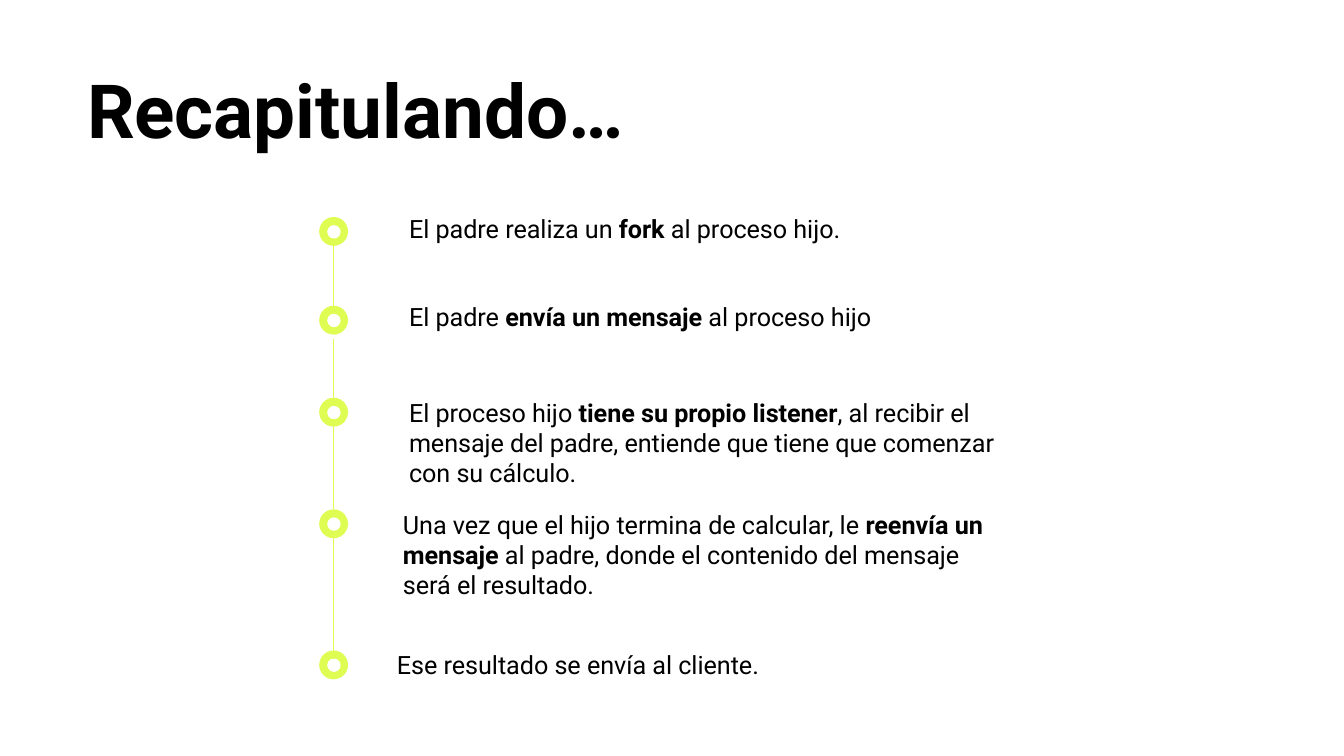
from dataclasses import dataclass

from lxml import etree
from pptx import Presentation
from pptx.dml.color import RGBColor
from pptx.enum.shapes import MSO_CONNECTOR, MSO_SHAPE
from pptx.enum.text import MSO_ANCHOR, MSO_AUTO_SIZE
from pptx.oxml.ns import qn
from pptx.util import Pt

OVAL = MSO_SHAPE.OVAL
STRAIGHT = MSO_CONNECTOR.STRAIGHT
TOP = MSO_ANCHOR.TOP
FIXED = MSO_AUTO_SIZE.NONE
SCALE = 4572
BLANK = 6


@dataclass(frozen=True)
class Theme:
    font: str = "Roboto"
    ink: str = "000000"
    paper: str = "FFFFFF"
    lime: str = "DEFC52"
    title: float = 40
    body: float = 13.5
    rule: float = 0.75


def px(count):
    return count * SCALE


class Deck:
    def __init__(self, theme, slide):
        self.theme = theme
        self.slide = slide

    def dot(self, group, x, y, size, color):
        oval = group.shapes.add_shape(OVAL, px(x), px(y), px(size), px(size))
        oval.shadow.inherit = False
        oval.fill.solid()
        oval.fill.fore_color.rgb = RGBColor.from_string(color)
        oval.line.fill.background()

    def ring(self, x, y):
        group = self.slide.shapes.add_group_shape()
        self.dot(group, x, y, 43, self.theme.lime)
        self.dot(group, x + 12, y + 12, 20, self.theme.paper)

    def line(self, x, start, end):
        link = self.slide.shapes.add_connector(
            STRAIGHT, px(x), px(start), px(x), px(end))
        link.line.color.rgb = RGBColor.from_string(self.theme.lime)
        link.line.width = Pt(self.theme.rule)
        etree.SubElement(link._element.spPr, qn("a:effectLst"))

    def text(self, box, parts, size, spacing=None):
        frame = self.slide.shapes.add_textbox(*map(px, box)).text_frame
        frame.word_wrap = True
        frame.auto_size = FIXED
        frame.vertical_anchor = TOP
        frame.margin_left = frame.margin_right = px(20)
        frame.margin_top = frame.margin_bottom = px(20)
        para = frame.paragraphs[0]
        if spacing:
            para.line_spacing = spacing
        for words, bold in parts:
            run = para.add_run()
            run.text = words
            run.font.name = self.theme.font
            run.font.size = Pt(size)
            run.font.bold = bold
            run.font.color.rgb = RGBColor.from_string(self.theme.ink)


STEPS = [
    (323, 589, 298, 86, [
        ("El padre realiza un ", False), ("fork ", True),
        ("al proceso hijo.", False)]),
    (455, 589, 429, 86, [
        ("El padre ", False), ("envía un mensaje", True),
        (" al proceso hijo", False)]),
    (592, 589, 571, 176, [
        ("El proceso hijo ", False), ("tiene su propio listener", True),
        (", al recibir el mensaje del padre, entiende que tiene que "
         "comenzar con su cálculo.", False)]),
    (758, 580, 738, 176, [
        ("Una vez que el hijo termina de calcular, le ", False),
        ("reenvía un mensaje", True),
        (" al padre, donde el contenido del mensaje será el resultado.",
         False)]),
    (968, 571, 947, 86, [("Ese resultado se envía al cliente.", False)]),
]
LINKS = [(366, 456), (504, 592), (624, 758), (790, 980)]


def main():
    prs = Presentation()
    prs.slide_width, prs.slide_height = px(2000), px(1125)
    theme = Theme()
    deck = Deck(theme, prs.slides.add_slide(prs.slide_layouts[BLANK]))
    deck.text((110, 90, 1780, 162), [("Recapitulando…", True)],
              theme.title, 0.9)
    for y, left, top, height, parts in STEPS:
        deck.ring(475, y)
        deck.text((left, top, 936, height), parts, theme.body)
    for start, end in LINKS:
        deck.line(496, start, end)
    prs.save("out.pptx")


if __name__ == "__main__":
    main()
